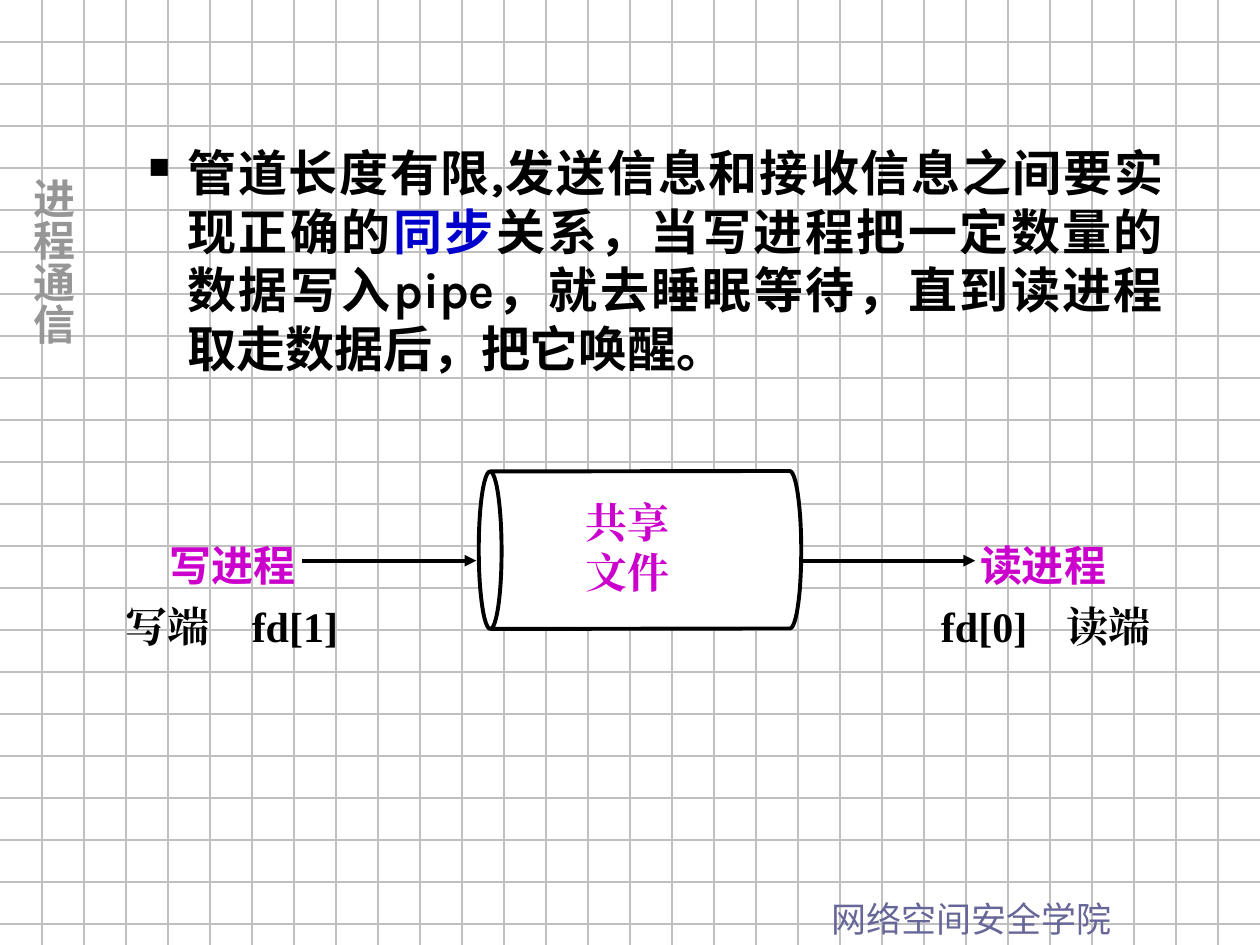
from lxml import etree
from pptx import Presentation
from pptx.dml.color import RGBColor
from pptx.enum.shapes import MSO_CONNECTOR, MSO_SHAPE
from pptx.enum.text import PP_ALIGN
from pptx.oxml.ns import qn
from pptx.util import Inches, Pt

STRAIGHT = MSO_CONNECTOR.STRAIGHT
CAN, RECTANGLE = MSO_SHAPE.CAN, MSO_SHAPE.RECTANGLE
LEFT, CENTER, JUSTIFY = PP_ALIGN.LEFT, PP_ALIGN.CENTER, PP_ALIGN.JUSTIFY

WIDTH, HEIGHT, GRID_STEP = 10, 7.5, 1 / 3
BLACK, WHITE, GREY = "000000", "FFFFFF", "C0C0C0"
BLUE, MAGENTA = "0000CC", "CC00CC"
SANS_JP, SANS_SC = "Noto Sans CJK JP", "Noto Sans CJK SC"
SERIF, BODY = "Times New Roman", "Karla"


def color(value):
    return RGBColor.from_string(value)


def add_span(para, text, size, font, ink, bold=True):
    span = para.add_run()
    span.text = text
    span.font.size = Pt(size)
    span.font.name = font
    span.font.bold = bold
    span.font.color.rgb = color(ink)
    east_asian = etree.SubElement(span.font._element, qn("a:ea"))
    east_asian.set("typeface", font)


def add_text_box(page, box, align=LEFT):
    """Add a wrapping text box and return its frame."""
    frame = page.shapes.add_textbox(*map(Inches, box)).text_frame
    frame.word_wrap = True
    frame.paragraphs[0].alignment = align
    return frame


def add_label(page, box, text, size, font, ink, bold=True):
    para = add_text_box(page, box).paragraphs[0]
    add_span(para, text, size, font, ink, bold)


def add_line(page, start, end, ink, weight, arrow=False):
    line = page.shapes.add_connector(STRAIGHT, *map(Inches, (*start, *end)))
    line.line.color.rgb = color(ink)
    line.line.width = Pt(weight)
    if arrow:
        tail = etree.SubElement(line.line._get_or_add_ln(), qn("a:tailEnd"))
        tail.set("type", "triangle")
    etree.SubElement(line._element.spPr, qn("a:effectLst"))


def add_grid(page, width, height):
    for row in range(1, int(height / GRID_STEP) + 1):
        y = row * GRID_STEP
        add_line(page, (0, y), (width, y), GREY, 0.75)
    for column in range(1, round(width / GRID_STEP)):
        x = column * GRID_STEP
        add_line(page, (x, 0), (x, height), GREY, 0.75)


def add_bullet(para, margin, indent):
    properties = para._p.get_or_add_pPr()
    properties.set("marL", str(Inches(margin)))
    properties.set("indent", str(Inches(indent)))
    bullet_color = etree.SubElement(properties, qn("a:buClr"))
    etree.SubElement(bullet_color, qn("a:srgbClr")).set("val", BLACK)
    etree.SubElement(properties, qn("a:buSzPct")).set("val", "60000")
    etree.SubElement(properties, qn("a:buChar")).set("char", "■")


def add_body(page, box):
    para = add_text_box(page, box, JUSTIFY).paragraphs[0]
    para.level = 1
    add_bullet(para, 0.81, -0.31)
    for text, ink in (
        ("管道长度有限,发送信息和接收信息之间要实现正确的", BLACK),
        ("同步", BLUE),
        ("关系，当写进程把一定数量的数据写入pipe，就去睡眠等待，"
         "直到读进程取走数据后，把它唤醒。", BLACK),
    ):
        add_span(para, text, 28, BODY, ink)


def add_sidebar(page, box):
    frame = add_text_box(page, box, CENTER)
    frame._txBody.bodyPr.set("vert", "eaVert")
    frame.margin_left = frame.margin_right = Inches(0.05)
    frame.margin_top = frame.margin_bottom = Inches(0.1)
    add_span(frame.paragraphs[0], "进程通信", 24, SANS_JP, "969696")


def add_filled_shape(page, kind, box):
    shape = page.shapes.add_shape(kind, *map(Inches, box))
    shape.shadow.inherit = False
    shape.fill.solid()
    shape.fill.fore_color.rgb = color(WHITE)
    return shape


def add_shared_file(page, box):
    """Draw the pipe as a can lying on its side, with its name inside."""
    left, top, width, height = box
    center_x, center_y = left + width / 2, top + height / 2
    can = add_filled_shape(
        page, CAN, (center_x - height / 2, center_y - width / 2, height, width))
    can.rotation = 269.9
    can.adjustments[0] = 0.145
    can.line.color.rgb = color(BLACK)
    can.line.width = Pt(2.25)

    name = add_filled_shape(page, RECTANGLE, (left + 0.75, top + 0.15, 1.35, 1.08))
    name.line.fill.background()
    frame = name.text_frame
    frame.vertical_anchor = None
    frame._txBody.bodyPr.set("anchor", "t")
    for index, text in enumerate(("共享", "文件")):
        para = frame.add_paragraph() if index else frame.paragraphs[0]
        para.alignment = JUSTIFY
        add_span(para, text, 24, SERIF, MAGENTA)


def add_pipe_diagram(page, box):
    left, top, width, height = box
    arrow_y = top + 0.71
    add_shared_file(page, (left + 2.55, top, 2.56, 1.25))
    for x in (left + 1.15, left + 5.11):
        add_line(page, (x, arrow_y), (x + 1.38, arrow_y), BLACK, 2.25, arrow=True)
    for x, text in ((left, "写进程"), (left + width - 1.24, "读进程")):
        add_label(page, (x, top + 0.49, 1.24, 0.5), text, 24, SANS_SC, MAGENTA)
    for x, text in ((left - 0.35, "写端\tfd[1]"), (left + 6.12, "fd[0]\t读端")):
        add_label(page, (x, top + height - 0.5, 2.1, 0.5), text, 24, SERIF, BLACK)


def main():
    deck = Presentation()
    deck.slide_width, deck.slide_height = Inches(WIDTH), Inches(HEIGHT)
    page = deck.slides.add_slide(deck.slide_layouts[6])
    page.background.fill.solid()
    page.background.fill.fore_color.rgb = color(WHITE)
    add_grid(page, WIDTH, HEIGHT)
    add_label(page, (6.5, 7.07, 3.5, 0.44), "网络空间安全学院",
              20, SANS_JP, "666699", bold=False)
    add_body(page, (0.58, 1.08, 8.75, 5.67))
    add_pipe_diagram(page, (1.25, 3.74, 7.67, 1.48))
    add_sidebar(page, (0.07, 1.31, 0.6, 4.58))
    deck.save("out.pptx")


if __name__ == "__main__":
    main()
